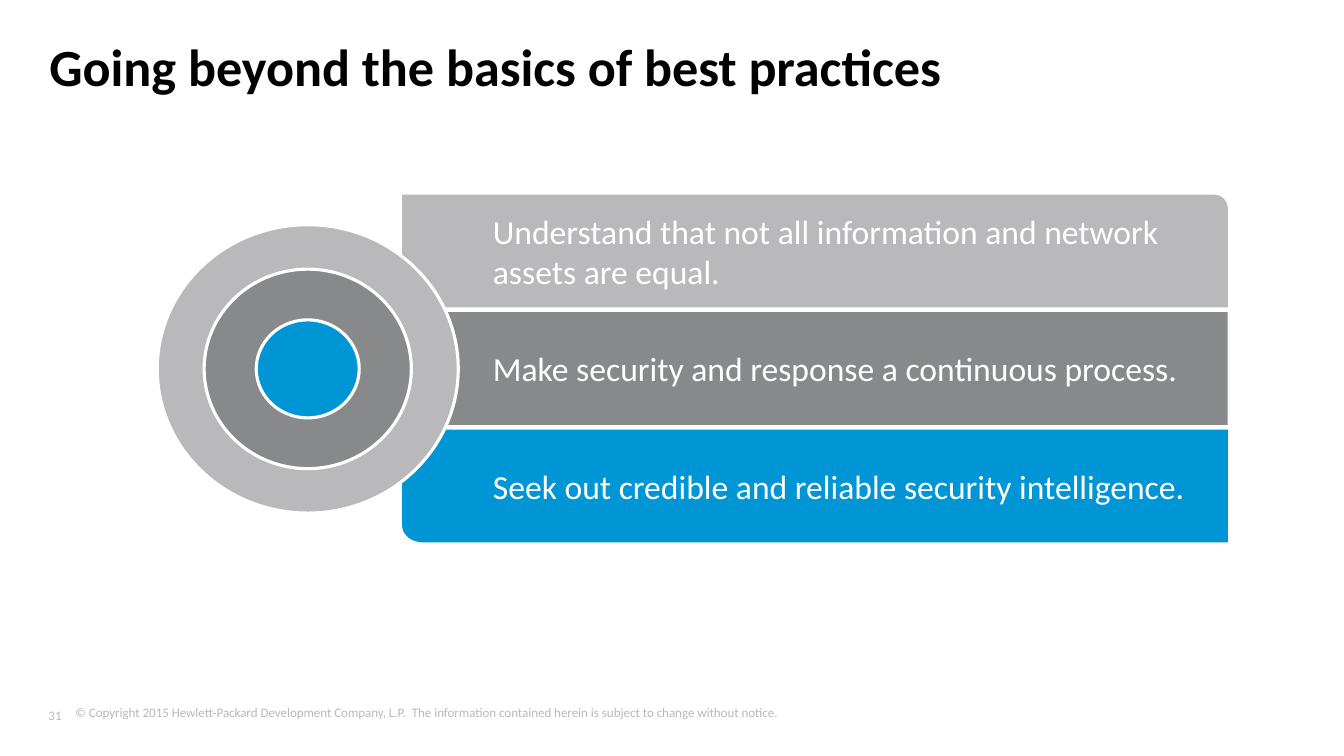
from math import cos, pi, sin

from pptx import Presentation
from pptx.dml.color import RGBColor
from pptx.enum.shapes import MSO_SHAPE
from pptx.enum.text import MSO_ANCHOR, PP_ALIGN
from pptx.util import Pt

BLACK = RGBColor(0x00, 0x00, 0x00)
WHITE = RGBColor(0xFF, 0xFF, 0xFF)
LIGHT_GRAY = RGBColor(0xB9, 0xB8, 0xBB)
DARK_GRAY = RGBColor(0x87, 0x89, 0x8B)
BLUE = RGBColor(0x00, 0x96, 0xD6)

PRACTICES = [
    ("Understand that not all information and network assets are equal.", LIGHT_GRAY),
    ("Make security and response a continuous process.", DARK_GRAY),
    ("Seek out credible and reliable security intelligence.", BLUE),
]
RINGS = [(215, 206, LIGHT_GRAY), (148, 142.5, DARK_GRAY), (73.5, 70, BLUE)]
COPYRIGHT = (
    "© Copyright 2015 Hewlett-Packard Development Company, L.P.  "
    "The information contained herein is subject to change without notice."
)


def write(sp, text, size=24, color=WHITE, bold=False, anchor=MSO_ANCHOR.MIDDLE,
          insets=(0, 0, 0, 0), wrap=True):
    tf = sp.text_frame
    tf.word_wrap = wrap
    tf.vertical_anchor = anchor
    tf.margin_left, tf.margin_top, tf.margin_right, tf.margin_bottom = map(Pt, insets)
    p = tf.paragraphs[0]
    p.alignment = PP_ALIGN.LEFT
    r = p.add_run()
    r.text = text
    r.font.name = "Calibri"
    r.font.size = Pt(size)
    r.font.bold = bold
    r.font.color.rgb = color


def paint(sp, fill, line=None):
    sp.shadow.inherit = False
    sp.fill.solid()
    sp.fill.fore_color.rgb = fill
    if line is None:
        sp.line.fill.background()
    else:
        sp.line.color.rgb = line
        sp.line.width = Pt(2.25)


def add_title(s, left, top, width, height):
    sp = s.shapes.add_textbox(Pt(left), Pt(top), Pt(width), Pt(height))
    write(sp, "Going beyond the basics of best practices", size=37.3, color=BLACK,
          bold=True, anchor=MSO_ANCHOR.TOP)


def bottom_left_rounded(s, left, top, width, height, rx=15, ry=12, steps=16):
    right, bottom = left + width, top + height
    angles = [pi / 2 * i / steps for i in range(steps + 1)]
    corner = [(left + rx * (1 - sin(a)), bottom - ry * (1 - cos(a))) for a in angles]
    outline = [(right, top), (right, bottom)] + corner
    builder = s.shapes.build_freeform(Pt(left), Pt(top), scale=1.0)
    builder.add_line_segments([(Pt(x), Pt(y)) for x, y in outline], close=True)
    return builder.convert_to_shape()


def add_bars(s, left, top, width, height, gap=3.4):
    bar_height = (height - gap * (len(PRACTICES) - 1)) / len(PRACTICES)
    presets = [MSO_SHAPE.ROUND_1_RECTANGLE, MSO_SHAPE.RECTANGLE]
    for i, (text, color) in enumerate(PRACTICES):
        y = top + i * (bar_height + gap)
        if i < len(presets):
            sp = s.shapes.add_shape(presets[i], Pt(left), Pt(y), Pt(width), Pt(bar_height))
        else:
            sp = bottom_left_rounded(s, left, y, width, bar_height)
        if i == 0:
            sp.adjustments[0] = 0.12
        paint(sp, color)
        write(sp, text, insets=(64.8, 3.6, 7.2, 3.6))


def add_target(s, left, top, width, height):
    for w, h, color in RINGS:
        x, y = left + (width - w) / 2, top + (height - h) / 2
        paint(s.shapes.add_shape(MSO_SHAPE.OVAL, Pt(x), Pt(y), Pt(w), Pt(h)), color, WHITE)


def add_footer(s, left, top, width, height):
    sp = s.shapes.add_textbox(Pt(left + 12), Pt(top), Pt(width - 12), Pt(height))
    write(sp, COPYRIGHT, size=9.3, color=LIGHT_GRAY, anchor=MSO_ANCHOR.TOP,
          insets=(7.2, 3.6, 7.2, 3.6))
    sp = s.shapes.add_textbox(Pt(left), Pt(top + 3), Pt(34), Pt(16))
    write(sp, "31", size=9.3, color=LIGHT_GRAY, insets=(0, 5, 9.4, 5), wrap=False)


def main():
    prs = Presentation()
    prs.slide_width, prs.slide_height = Pt(960), Pt(540)
    s = prs.slides.add_slide(prs.slide_layouts[6])
    add_footer(s, 34.6, 499.7, 853, 24)
    add_title(s, 35.3, 24.5, 881, 45.4)
    add_bars(s, 287.3, 139, 589.7, 248.4)
    add_target(s, 112.3, 160.5, 215, 206)
    prs.save("out.pptx")


if __name__ == "__main__":
    main()
